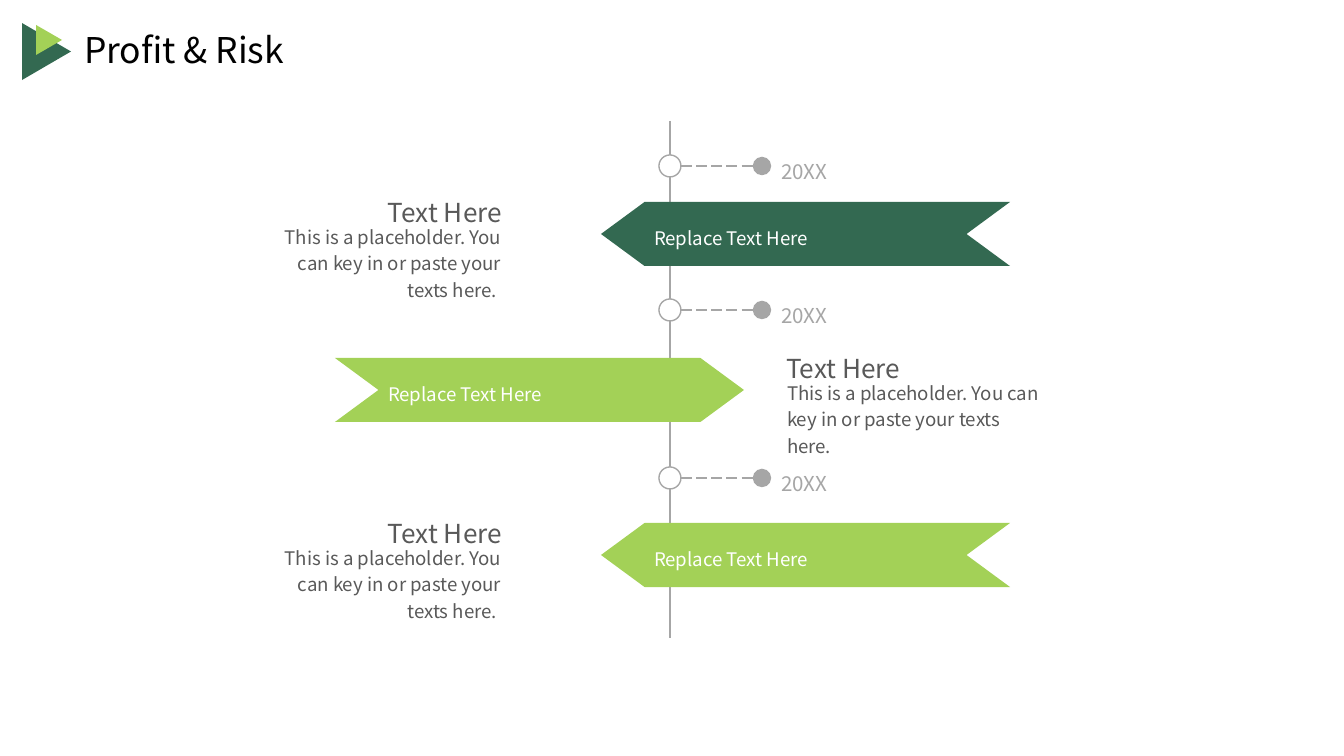
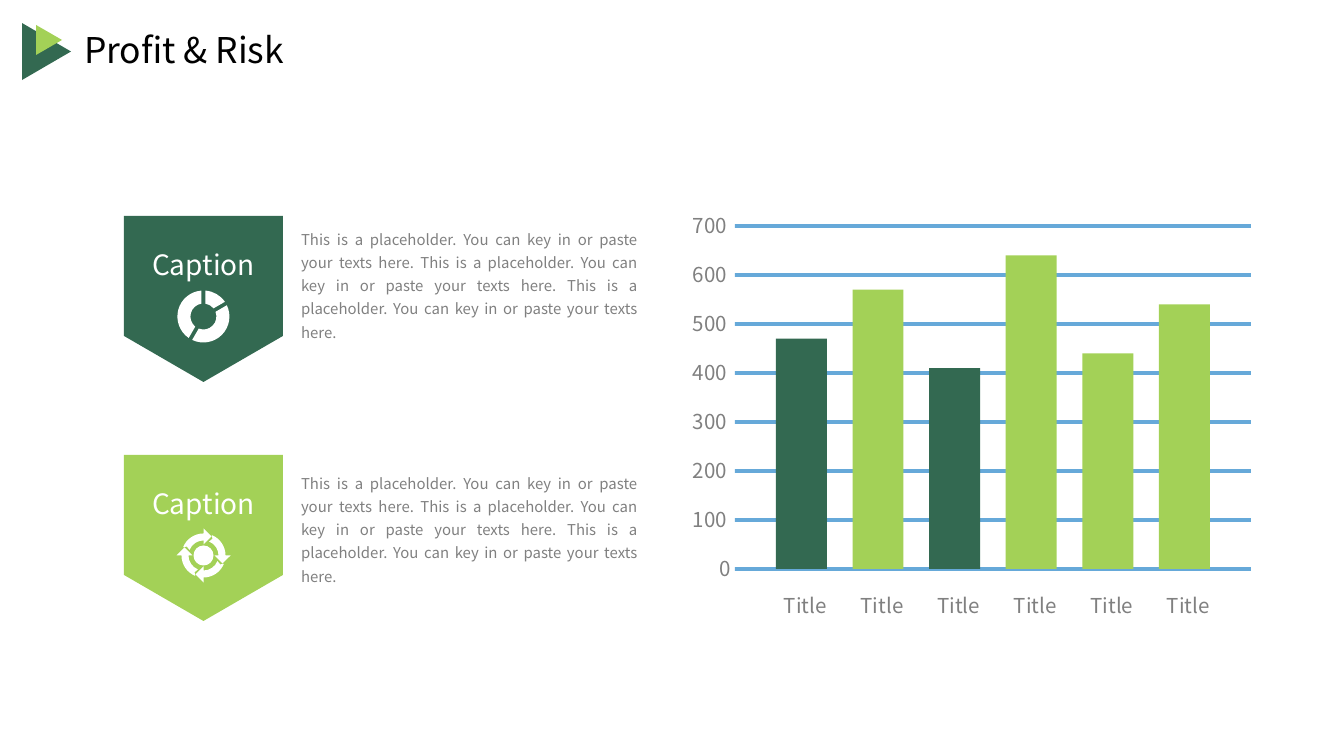
from math import asin, ceil, cos, degrees, radians, sin, tan

from lxml import etree
from pptx import Presentation
from pptx.dml.color import RGBColor
from pptx.enum.dml import MSO_LINE as DASH
from pptx.enum.shapes import MSO_CONNECTOR as LINK, MSO_SHAPE as SHAPE
from pptx.enum.text import MSO_ANCHOR as ANCHOR, MSO_AUTO_SIZE as FIT, PP_ALIGN as ALIGN
from pptx.oxml.ns import qn
from pptx.util import Pt

FONT = "Noto Sans CJK SC"
DARK, LIGHT, WHITE, BLACK = "336951", "A3D157", "FFFFFF", "000000"
LINE_GREY, TEXT_GREY, LABEL_GREY, GRID_BLUE = "A6A6A6", "595959", "808080", "0070C0"
WIDE, TIGHT = (13, 7, 13, 7), (10, 5, 10, 5)

TITLE = "Profit & Risk"
SENTENCE = "This is a placeholder. You can key in or paste your texts here."

# Timeline: dot y, banner y, banner colour, side of the description
STEPS = [
    (166, 202, DARK, "left", SENTENCE + " "),
    (310, 358, LIGHT, "right", SENTENCE),
    (478, 523, LIGHT, "left", SENTENCE + " "),
]
# Description column: title x, body x, body width, alignment, banner x, rotation
SIDES = {
    "left": (367, 247, 267, ALIGN.RIGHT, 601, 180),
    "right": (773, 774, 284, ALIGN.LEFT, 335, 0),
}
YEAR, HEADING, BANNER_TEXT = "20XX", "Text Here", "Replace Text Here"
AXIS_X, AXIS_TOP, AXIS_END = 670, 121, 638
DOT, DASH_END = 22, 762

# Captions: top, colour, paragraph top
CAPTIONS = [(216, DARK, 220), (455, LIGHT, 464)]
CAPTION_X, CAPTION_W, CAPTION_H, SHOULDER = 124, 159, 166, 120
PARAGRAPH = (SENTENCE + " ") * 3

BARS = [("Title", 470, DARK), ("Title", 570, LIGHT), ("Title", 410, DARK),
        ("Title", 640, LIGHT), ("Title", 440, LIGHT), ("Title", 540, LIGHT)]
SCALE_MAX, SCALE_STEP = 700, 100
GRID_LEFT, GRID_RIGHT, GRID_TOP, GRID_BASE = 735, 1251, 226, 569
FIRST_BAR, LAST_BAR, BAR_W = 776, 1159, 51


def px(v):
    return round(v * 914400 / 134.4)


def rgb(color):
    return RGBColor.from_string(color)


def style(shape, fill, line=None):
    shape.shadow.inherit = False
    shape.fill.solid()
    shape.fill.fore_color.rgb = rgb(fill)
    if line:
        shape.line.color.rgb = rgb(line)
        shape.line.width = Pt(0.75)
    else:
        shape.line.fill.background()
    return shape


def add_preset(s, kind, x, y, w, h, fill, line=None, rotation=0):
    shape = s.shapes.add_shape(kind, px(x), px(y), px(w), px(h))
    shape.rotation = rotation
    return style(shape, fill, line)


def add_outline(s, contours, fill):
    """Draw a freeform; a contour lists segments of one point (line) or three (curve)."""
    builder = None
    for (start,), *segments in contours:
        x, y = map(px, start)
        if builder:
            builder.move_to(x, y)
        else:
            builder = s.shapes.build_freeform(x, y, scale=1.0)
        builder.add_line_segments([(px(x), px(y)) for seg in segments for x, y in seg])
    shape = builder.convert_to_shape()
    lines = iter(list(shape.element.iter(qn("a:lnTo"))))
    for segment in (seg for _, *segments in contours for seg in segments):
        first, *others = [next(lines) for _ in segment]
        if others:
            first.tag = qn("a:cubicBezTo")
        for other in others:
            first.append(other[0])
            other.getparent().remove(other)
    return style(shape, fill)


def add_line(s, x1, y1, x2, y2, color=LINE_GREY, width=0.75, alpha=None, dashed=False):
    line = s.shapes.add_connector(LINK.STRAIGHT, px(x1), px(y1), px(x2), px(y2))
    line.line.color.rgb = rgb(color)
    line.line.width = Pt(width)
    if alpha:
        solid = line.element.spPr.find(".//" + qn("a:srgbClr"))
        etree.SubElement(solid, qn("a:alpha")).set("val", str(alpha * 1000))
    if dashed:
        line.line.dash_style = DASH.LONG_DASH
        tail = etree.SubElement(line.element.spPr.find(qn("a:ln")), qn("a:tailEnd"))
        for key, value in (("type", "oval"), ("w", "lg"), ("len", "lg")):
            tail.set(key, value)
    etree.SubElement(line.element.spPr, qn("a:effectLst"))


def write(shape, text, size, color, align=ALIGN.LEFT, spacing=None, inset=WIDE, wrap=True, fit=FIT.NONE):
    tf = shape.text_frame
    tf.word_wrap, tf.auto_size, tf.vertical_anchor = wrap, fit, ANCHOR.TOP
    tf.margin_left, tf.margin_top, tf.margin_right, tf.margin_bottom = map(px, inset)
    p = tf.paragraphs[0]
    p.alignment = align
    if spacing:
        p.line_spacing = spacing
    r = p.add_run()
    r.text = text
    r.font.name, r.font.size = FONT, Pt(size)
    r.font.color.rgb = rgb(color)


def add_text(s, text, x, y, w, h, **look):
    box = s.shapes.add_textbox(px(x), px(y), px(w), px(h))
    write(box, text, fit=FIT.SHAPE_TO_FIT_TEXT, **look)


def brand_layout(s):
    """Move the two corner triangles of a slide to its layout."""
    layout = s.slide_layout
    for ph in list(layout.placeholders)[1:]:
        ph.element.getparent().remove(ph.element)
    for x, w, h, color in [(18, 57, 49, DARK), (34, 30, 26, LIGHT)]:
        mark = add_preset(s, SHAPE.ISOSCELES_TRIANGLE, x, 27, w, h, color, rotation=90)
        layout.shapes.element.append(mark.element)


def add_slide(prs):
    s = prs.slides.add_slide(prs.slide_layouts[5])
    t = s.shapes.title
    t.left, t.top, t.width, t.height = map(px, (71, 21, 242, 56))
    write(t, TITLE, 19, BLACK, wrap=False)
    return s


def polar(cx, cy, r, angle):
    return cx + r * cos(radians(angle)), cy + r * sin(radians(angle))


def arc(cx, cy, r, start, end):
    """Segments of an arc: its first point, then curves of at most 90 degrees."""
    count = ceil(abs(end - start) / 90)
    step = (end - start) / count
    pull = 4 / 3 * tan(radians(step / 4))
    segments = [[polar(cx, cy, r, start)]]
    for i in range(count):
        a, b = start + i * step, start + (i + 1) * step
        segments.append([polar(*polar(cx, cy, r, a), r * pull, a + 90),
                         polar(*polar(cx, cy, r, b), -r * pull, b + 90),
                         polar(cx, cy, r, b)])
    return segments


def ring_icon(cx, cy, outer=26, inner=13, half_gap=2):
    cuts = [-90, -30, 120, 270]
    trim_out, trim_in = (degrees(asin(half_gap / r)) for r in (outer, inner))
    return [arc(cx, cy, outer, a + trim_out, b - trim_out) + arc(cx, cy, inner, b - trim_in, a + trim_in)
            for a, b in zip(cuts, cuts[1:])]


def cycle_icon(cx, cy, outer=22, inner=15, middle=19, head=8):
    contours = [arc(cx, cy, 10, 0, 360)]
    for turn in range(0, 360, 90):
        tip = polar(*polar(cx, cy, middle, turn), head, turn + 90)
        contours.append(
            arc(cx, cy, outer, turn - 68, turn)
            + [[polar(cx, cy, middle + head, turn)], [tip], [polar(cx, cy, middle - head, turn)]]
            + arc(cx, cy, inner, turn, turn - 68)
            + [[polar(cx, cy, middle, turn - 62)]])
    return contours


def add_step(s, dot_y, y, color, side, body):
    add_preset(s, SHAPE.OVAL, AXIS_X - DOT / 2, dot_y - DOT / 2, DOT, DOT, WHITE, LINE_GREY)
    add_line(s, AXIS_X + DOT / 2, dot_y, DASH_END, dot_y, dashed=True)
    add_text(s, YEAR, 771, dot_y - 17, 68, 35, size=11, color=LINE_GREY,
             align=ALIGN.JUSTIFY, spacing=1.2, inset=TIGHT, wrap=False)

    title_x, body_x, body_w, align, banner_x, rotation = SIDES[side]
    add_text(s, HEADING, title_x, y - 19, 148, 46, size=14, color=TEXT_GREY,
             align=align, spacing=1.2, wrap=False)
    add_text(s, body, body_x, y + 12, body_w, 91, size=10, color=TEXT_GREY,
             align=align, spacing=1.2)
    banner = add_preset(s, SHAPE.CHEVRON, banner_x, y, 409, 64, color, rotation=rotation)
    banner.adjustments[0] = 0.68
    add_text(s, BANNER_TEXT, banner_x + 40, y + 13, 190, 36, size=10, color=WHITE,
             align=ALIGN.JUSTIFY, spacing=1.2, wrap=False)


def add_caption(s, y, color, text_y, icon):
    left, right, middle = CAPTION_X, CAPTION_X + CAPTION_W, CAPTION_X + CAPTION_W / 2
    corners = [(left, y), (right, y), (right, y + SHOULDER), (middle, y + CAPTION_H), (left, y + SHOULDER)]
    tag = add_outline(s, [[[corner] for corner in corners]], color)
    write(tag, "Caption", 15, WHITE, align=ALIGN.CENTER, inset=(10, 32, 10, 5))
    add_outline(s, icon(middle, y + 100.5), WHITE)
    add_text(s, PARAGRAPH, 291, text_y, 357, 124, size=8, color=LABEL_GREY,
             align=ALIGN.JUSTIFY, spacing=1.3, inset=TIGHT)


def value_y(value):
    return GRID_BASE - value * (GRID_BASE - GRID_TOP) / SCALE_MAX


def add_bars(s):
    """Bars on a grid that reaches past them on both sides."""
    look = dict(size=11, color=LABEL_GREY, wrap=False)
    for value in range(0, SCALE_MAX + 1, SCALE_STEP):
        y = value_y(value)
        add_line(s, GRID_LEFT, y, GRID_RIGHT, y, color=GRID_BLUE, width=0, alpha=60)
        x, w = (680, 62) if value else (706, 39)
        add_text(s, str(value), x, y - 20, w, 39, **look)
    pitch = (LAST_BAR - FIRST_BAR) / (len(BARS) - 1)
    for i, (name, value, color) in enumerate(BARS):
        x, y = FIRST_BAR + i * pitch, value_y(value)
        add_preset(s, SHAPE.RECTANGLE, x, y, BAR_W, GRID_BASE - y, color)
        add_text(s, name, x - 5, 586, 73, 39, **look)


def main():
    prs = Presentation()
    prs.slide_width, prs.slide_height = px(1344), px(756)

    s = add_slide(prs)
    brand_layout(s)
    add_line(s, AXIS_X, AXIS_TOP, AXIS_X, AXIS_END)
    for step in STEPS:
        add_step(s, *step)

    s = add_slide(prs)
    for caption, icon in zip(CAPTIONS, (ring_icon, cycle_icon)):
        add_caption(s, *caption, icon)
    add_bars(s)

    prs.save("out.pptx")


if __name__ == "__main__":
    main()
